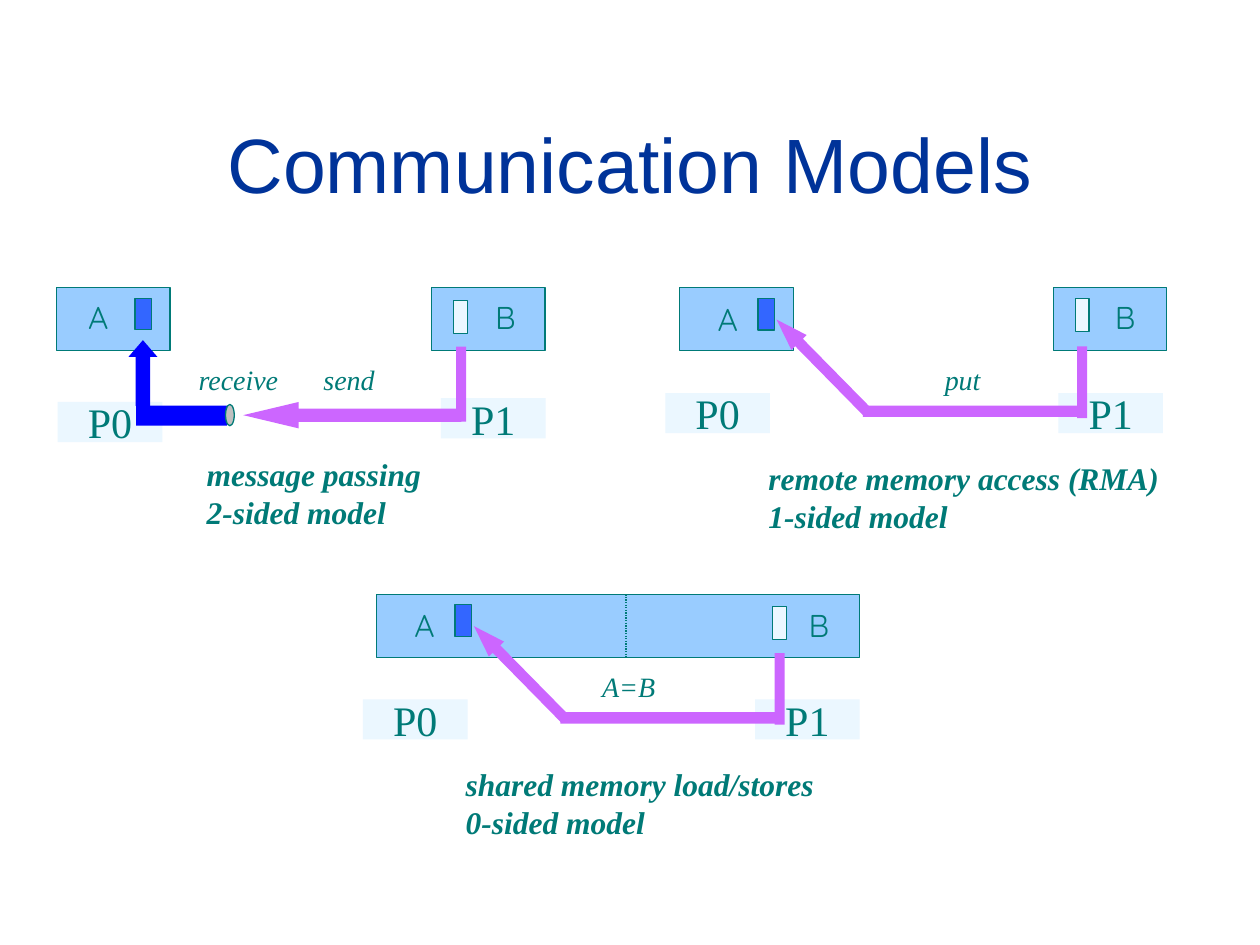
from dataclasses import dataclass
from lxml.etree import SubElement
from pptx import Presentation
from pptx.dml.color import RGBColor as Rgb
from pptx.enum.dml import MSO_LINE as Dash
from pptx.enum.shapes import MSO_CONNECTOR as Link, MSO_SHAPE as Kind
from pptx.enum.text import MSO_ANCHOR as Anchor, MSO_AUTO_SIZE as Fit, PP_ALIGN as Align
from pptx.oxml.ns import qn
from pptx.util import Pt


@dataclass(frozen=True)
class Theme:
    title: str = "003399"
    ink: str = "007A77"
    box: str = "99CCFF"
    pale: str = "EBF7FF"
    full: str = "3366FF"
    recv: str = "0000FF"
    send: str = "CC66FF"
    pipe: str = "C0C0C0"
    sans: str = "Arial"
    serif: str = "Times New Roman"
    mark: str = "Quicksand"
    head: int = 44
    tag: int = 24
    body: int = 18
    note: int = 16
    line: float = 0.75


T = Theme()
TITLE = ("Communication Models", (23.8, 48.2, 672.5, 90))
MODELS = [
    {
        "boxes": [(32.4, 164.2, 64.8), (246.6, 164.2, 64.8)],
        "cells": [(77.2, 170.4), (259.2, 171.8)],
        "tags": [(33, 229.7), (252, 227.5)],
        "marks": [(43.2, 167), (275.8, 167)],
        "notes": [("receive", 106.4, 203.9, 63), ("send", 177.8, 203.9, 47)],
        "label": ("message passing\n2-sided model", 111, 256.4, 140),
    },
    {
        "boxes": [(388.5, 164.2, 64.8), (601.9, 164.2, 64.8)],
        "cells": [(433.2, 170.6), (614.4, 170.6)],
        "tags": [(380.2, 224.6), (604.8, 224.6)],
        "marks": [(403, 167.8), (630, 167)],
        "notes": [("put", 532.8, 203.9, 38)],
        "label": ("remote memory access (RMA)\n1-sided model", 432, 258.6, 241),
        "flow": (432.6, 203),
    },
    {
        "boxes": [(215.3, 339.6, 275.8)],
        "cells": [(260, 345.6), (441.4, 346.8)],
        "tags": [(207.4, 399.6), (431.5, 399.6)],
        "marks": [(229.7, 342.7), (455, 342.7)],
        "notes": [("A=B", 337, 378.8, 48)],
        "label": ("shared memory load/stores\n0-sided model", 259, 433.5, 217),
        "flow": (259.7, 378.2),
        "split": 357.8,
    },
]
PAIR = [
    (Kind.RECTANGLE, (77.8, 231.8, 51.8, 11.5), T.recv, False, ()),
    (Kind.UP_ARROW, (73.4, 194.4, 16.6, 37.6), T.recv, False, (0.5, 0.58)),
    (Kind.OVAL, (128.9, 231.1, 5, 12.2), T.pipe, True, ()),
    (Kind.LEFT_ARROW, (139, 229.7, 124.6, 15.1), T.send, False, (0.5, 2.1)),
    (Kind.RECTANGLE, (260.6, 198, 5.8, 43), T.send, False, ()),
]
CELLS = [((9.4, 18), T.full), ((7.9, 18.7), T.pale)]
MARKS = [("A", 27.4), ("B", 24.5)]
HIGH = 36


def put(slide, kind, area, fill, edge=False, adj=()):
    """Add one filled preset shape."""
    shape = slide.shapes.add_shape(kind, *map(Pt, area))
    shape.shadow.inherit = False
    shape.fill.solid()
    shape.fill.fore_color.rgb = Rgb.from_string(fill)
    if edge:
        shape.line.color.rgb = Rgb.from_string(T.ink)
        shape.line.width = Pt(T.line)
    else:
        shape.line.fill.background()
    for i, part in enumerate(adj):
        shape.adjustments[i] = part
    return shape


def write(shape, text, size, font, color=T.ink, bold=False, slant=False, mid=False):
    """Fill a shape with styled text."""
    frame = shape.text_frame
    frame.text = text
    frame.word_wrap = False
    frame.vertical_anchor = Anchor.MIDDLE if mid else Anchor.TOP
    for para in frame.paragraphs:
        para.alignment = Align.CENTER if mid else Align.LEFT
        for run in para.runs:
            run.font.size, run.font.name = Pt(size), font
            run.font.bold, run.font.italic = bold, slant
            run.font.color.rgb = Rgb.from_string(color)


def label(slide, text, area, *style, **more):
    """Add a free text box that grows with its text."""
    shape = slide.shapes.add_textbox(*map(Pt, area))
    write(shape, text, *style, **more)
    shape.text_frame.auto_size = Fit.SHAPE_TO_FIT_TEXT


def bend(slide, x, y):
    """Draw the one-sided path from B up to A."""
    arrow = put(slide, Kind.LEFT_ARROW, (x, y, 74.2, 12.2), T.send, adj=(0.5, 1.51))
    arrow.rotation = 45.5
    put(slide, Kind.RECTANGLE, (x + 182.9, y - 5, 5.8, 41), T.send)
    put(slide, Kind.RECTANGLE, (x + 60.5, y + 28.8, 126, 6.5), T.send)


def divide(slide, x, y):
    """Draw the dotted line across the shared box."""
    line = slide.shapes.add_connector(Link.STRAIGHT, *map(Pt, (x, y, x, y + HIGH)))
    line.line.color.rgb = Rgb.from_string(T.ink)
    line.line.width = Pt(T.line)
    line.line.dash_style = Dash.ROUND_DOT
    SubElement(line._element.spPr, qn("a:effectLst"))


def draw(slide, model):
    """Draw one communication model."""
    for i, (x, y) in enumerate(model["tags"]):
        tag = put(slide, Kind.RECTANGLE, (x, y, 59.8, 23), T.pale)
        write(tag, f"P{i}", T.tag, T.serif, mid=True)
    for x, y, wide in model["boxes"]:
        put(slide, Kind.RECTANGLE, (x, y, wide, HIGH), T.box, True)
    for spot, (size, fill) in zip(model["cells"], CELLS):
        put(slide, Kind.RECTANGLE, spot + size, fill, True)
    if "flow" in model:
        bend(slide, *model["flow"])
    else:
        for part in PAIR:
            put(slide, *part)
    for (x, y), (name, wide) in zip(model["marks"], MARKS):
        label(slide, name, (x, y, wide, 28.8), T.body, T.mark)
    for text, x, y, wide in model["notes"]:
        label(slide, text, (x, y, wide, 26.6), T.note, T.serif, slant=True)
    text, x, y, wide = model["label"]
    label(slide, text, (x, y, wide, 50.4), T.body, T.serif, bold=True, slant=True)
    if "split" in model:
        divide(slide, model["split"], model["boxes"][0][1])


def main():
    """Build and save the slide."""
    deck = Presentation()
    deck.slide_width, deck.slide_height = Pt(720), Pt(540)
    slide = deck.slides.add_slide(deck.slide_layouts[6])
    text, area = TITLE
    title = slide.shapes.add_textbox(*map(Pt, area))
    write(title, text, T.head, T.sans, T.title, mid=True)
    title.text_frame.word_wrap = True
    for model in MODELS:
        draw(slide, model)
    deck.save("out.pptx")


if __name__ == "__main__":
    main()
